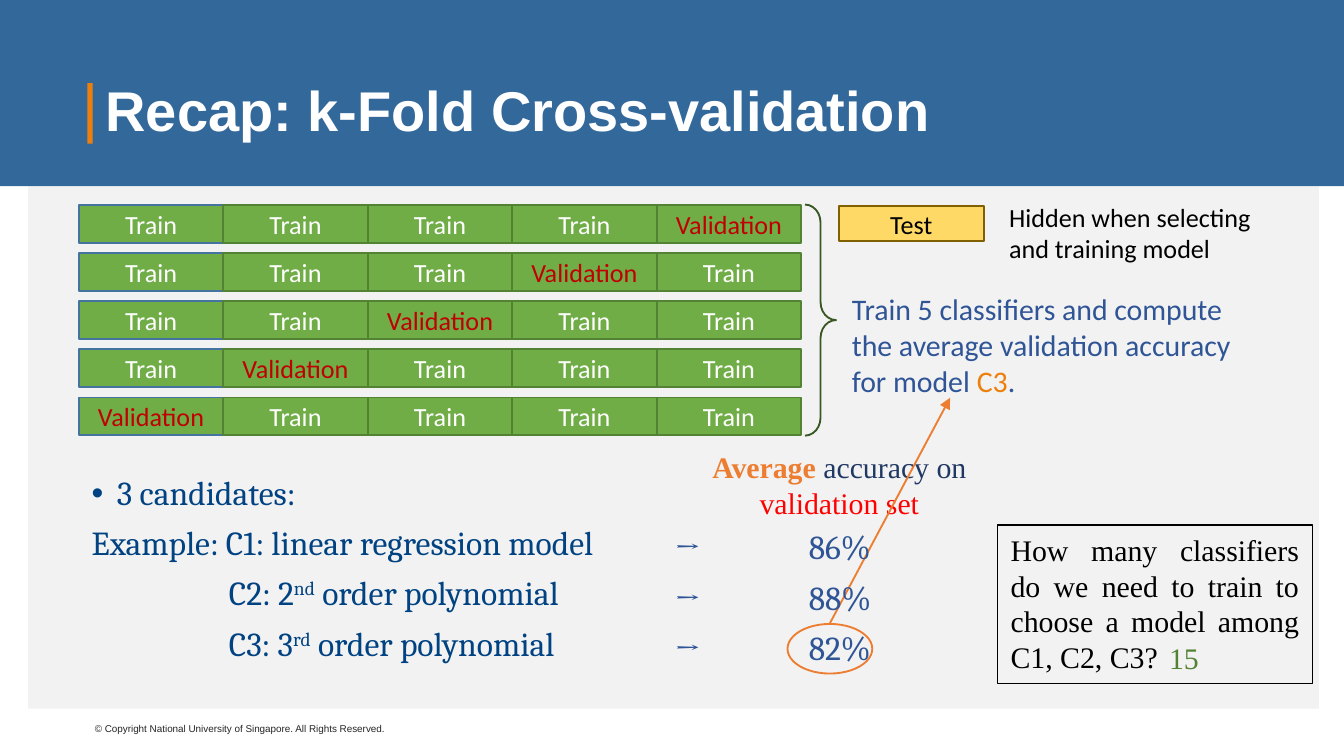
from lxml.etree import SubElement
from pptx import Presentation
from pptx.dml.color import RGBColor
from pptx.enum.shapes import MSO_CONNECTOR, MSO_SHAPE
from pptx.enum.text import MSO_ANCHOR, PP_ALIGN
from pptx.oxml.ns import qn
from pptx.util import Pt

FOLDS = 5
CELL_WIDTH, CELL_HEIGHT = 77.4, 20.3
GRID_LEFT, GRID_TOP, ROW_STEP = 42.2, 109.8, 25.8
NAVY, BLUE, ORANGE = "004282", "2F5597", "ED7D31"


def color(hex_text):
    return RGBColor.from_string(hex_text)


def style_font(font, name, size, hex_text, bold=False):
    font.name, font.size, font.bold = name, Pt(size), bold
    font.color.rgb = color(hex_text)


def add_shape(slide, kind, left, top, width, height, fill=None, line=None, weight=1):
    shape = slide.shapes.add_shape(kind, Pt(left), Pt(top), Pt(width), Pt(height))
    shape.shadow.inherit = False
    if fill:
        shape.fill.solid()
        shape.fill.fore_color.rgb = color(fill)
    else:
        shape.fill.background()
    if line:
        shape.line.color.rgb = color(line)
        shape.line.width = Pt(weight)
    else:
        shape.line.fill.background()
    return shape


def add_paragraph(frame, parts, name, size, hex_text, bold=False,
                  align=PP_ALIGN.LEFT, first=False, indent=0, bullet=None,
                  tab=None, line_spacing=None, space_before=0):
    """Each part is a plain string or a (string, run properties) pair."""
    paragraph = frame.paragraphs[0] if first else frame.add_paragraph()
    paragraph.alignment = align
    properties = paragraph._p.get_or_add_pPr()
    if indent:
        properties.set("marL", str(Pt(indent)))
    if bullet:
        properties.set("indent", str(-Pt(indent)))
        SubElement(properties, qn("a:buFont")).set("typeface", "Arial")
        SubElement(properties, qn("a:buChar")).set("char", bullet)
    if tab:
        tab_list = SubElement(properties, qn("a:tabLst"))
        SubElement(tab_list, qn("a:tab"), pos=str(Pt(tab)), algn="l")
    if line_spacing:
        paragraph.line_spacing = line_spacing
    if space_before and not first:
        paragraph.space_before = Pt(space_before)
    style_font(paragraph.font, name, size, hex_text, bold)
    for part in parts:
        text, changes = (part, {}) if isinstance(part, str) else part
        run = paragraph.add_run()
        run.text = text
        if "color" in changes:
            run.font.color.rgb = color(changes["color"])
        if "bold" in changes:
            run.font.bold = changes["bold"]
        if "raised" in changes:
            run._r.get_or_add_rPr().set("baseline", "30000")


def add_text_box(slide, left, top, width, height, wrap=True, anchor=MSO_ANCHOR.TOP):
    box = slide.shapes.add_textbox(Pt(left), Pt(top), Pt(width), Pt(height))
    box.text_frame.word_wrap = wrap
    box.text_frame.vertical_anchor = anchor
    return box.text_frame


def add_label(slide, left, top, width, height, text, fill, line, text_color):
    shape = add_shape(slide, MSO_SHAPE.RECTANGLE, left, top, width, height, fill, line)
    shape.text_frame.vertical_anchor = MSO_ANCHOR.MIDDLE
    add_paragraph(shape.text_frame, [text], "Calibri", 14, text_color,
                  align=PP_ALIGN.CENTER, first=True)


def add_arrow(slide, start, end, hex_text):
    arrow = slide.shapes.add_connector(
        MSO_CONNECTOR.STRAIGHT, *(Pt(value) for value in start + end))
    arrow.line.color.rgb = color(hex_text)
    arrow.line.width = Pt(1)
    SubElement(arrow.line._get_or_add_ln(), qn("a:tailEnd")).set("type", "triangle")
    SubElement(arrow._element.spPr, qn("a:effectLst"))


def add_frame(slide):
    footer = add_text_box(slide, 43.7, 383.8, 171.4, 13.7, wrap=False)
    add_paragraph(footer,
                  ["© Copyright National University of Singapore. All Rights Reserved."],
                  "Arial", 5.3, "262626", first=True)
    add_shape(slide, MSO_SHAPE.RECTANGLE, 15.1, 99.8, 691.4, 279.8, "F2F2F2")
    add_shape(slide, MSO_SHAPE.RECTANGLE, 0, 0, 726, 99.8, "33689B")
    title = add_text_box(slide, 49.5, 21.5, 621, 78.5, anchor=MSO_ANCHOR.MIDDLE)
    add_paragraph(title, ["Recap: k-Fold Cross-validation"], "Arial", 30, "FFFFFF",
                  bold=True, first=True, line_spacing=0.9)
    add_shape(slide, MSO_SHAPE.RECTANGLE, 46.8, 44.6, 2.9, 32.4, "ED7F0D")


def add_fold_grid(slide):
    for row in range(FOLDS):
        # The first column lies under its neighbours
        for column in [0, *range(FOLDS - 1, 0, -1)]:
            held_out = column == FOLDS - 1 - row
            add_label(slide, GRID_LEFT + column * CELL_WIDTH, GRID_TOP + row * ROW_STEP,
                      CELL_WIDTH, CELL_HEIGHT,
                      "Validation" if held_out else "Train", "70AD47",
                      "548235" if column else "43739E",
                      "C00000" if held_out else "FFFFFF")


def add_test_part(slide):
    add_label(slide, 449.3, 110.6, 77.8, 18.7, "Test", "FFD966", "806000", "000000")
    note = add_text_box(slide, 533.5, 104.2, 154.1, 41)
    add_paragraph(note, ["Hidden when selecting and training model"],
                  "Calibri", 14, "000000", first=True)


def add_candidates(slide):
    frame = add_text_box(slide, 42, 251.6, 620.6, 114.5)
    superscript = {"raised": True}
    lines = [
        (["3 candidates:"], 13.5, "•"),
        (["Example: C1: linear regression model"], 0, None),
        (["C2: 2", ("nd", superscript), " order polynomial"], 73.5, None),
        (["C3: 3", ("rd", superscript), " order polynomial"], 73.5, None),
    ]
    for index, (parts, indent, bullet) in enumerate(lines):
        add_paragraph(frame, parts, "Cambria", 18, NAVY, align=PP_ALIGN.JUSTIFY,
                      first=index == 0, indent=indent, bullet=bullet,
                      line_spacing=0.9, space_before=7.5)


def add_accuracies(slide):
    heading = add_text_box(slide, 366.5, 236.9, 166.3, 46)
    add_paragraph(heading,
                  [("Average", {"color": ORANGE, "bold": True}), " accuracy on ",
                   ("validation set", {"color": "FF0000"})],
                  "Times New Roman", 16, "203864", align=PP_ALIGN.CENTER, first=True)

    # Chosen accuracy, linked to the explanation
    add_shape(slide, MSO_SHAPE.OVAL, 421.9, 334.3, 45.4, 26.6, line=ORANGE)
    add_arrow(slide, (444.4, 334.3), (509, 213.1), ORANGE)
    brace = add_shape(slide, MSO_SHAPE.RIGHT_BRACE, 431.3, 109.6, 16.6, 123.8,
                      line="385723")
    brace.adjustments[0] = 0.58
    explanation = add_text_box(slide, 449.3, 152.2, 229.7, 65.5)
    add_paragraph(explanation,
                  ["Train 5 classifiers and compute the average validation accuracy for model ",
                   ("C3", {"color": "ED7F0D"}), "."],
                  "Calibri", 16, BLUE, first=True)

    # Arrows with the percentages at one tab stop
    results = add_text_box(slide, 354.2, 280.8, 149.8, 82)
    for index, accuracy in enumerate(["86%", "88%", "82%"]):
        add_paragraph(results, [f"→\t{accuracy}"], "Cambria", 18, BLUE,
                      first=index == 0, tab=72, line_spacing=0.9, space_before=7.5)


def add_question(slide):
    box = add_shape(slide, MSO_SHAPE.RECTANGLE, 534.3, 281.2, 168.8, 85,
                    line="000000", weight=0.75)
    box.text_frame.word_wrap = True
    box.text_frame.vertical_anchor = MSO_ANCHOR.TOP
    add_paragraph(box.text_frame,
                  ["How many classifiers do we need to train to choose a model among C1, C2, C3?"],
                  "Times New Roman", 16, "000000", align=PP_ALIGN.JUSTIFY, first=True)
    answer = add_text_box(slide, 619.2, 339.4, 31, 26.6, wrap=False)
    add_paragraph(answer, ["15"], "Times New Roman", 16, "548235", first=True)


def main():
    presentation = Presentation()
    presentation.slide_width, presentation.slide_height = Pt(720), Pt(405)
    slide = presentation.slides.add_slide(presentation.slide_layouts[6])
    add_frame(slide)
    add_fold_grid(slide)
    add_test_part(slide)
    add_candidates(slide)
    add_accuracies(slide)
    add_question(slide)
    presentation.save("out.pptx")


if __name__ == "__main__":
    main()
